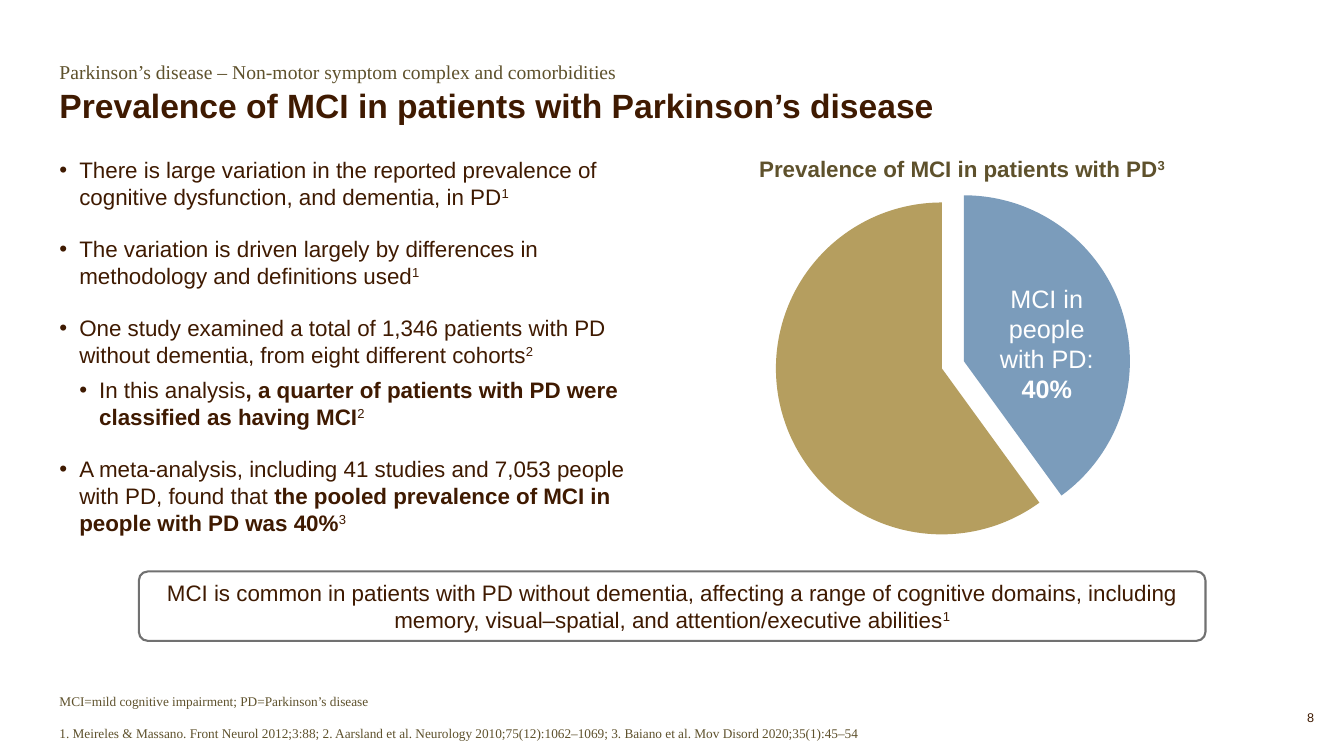
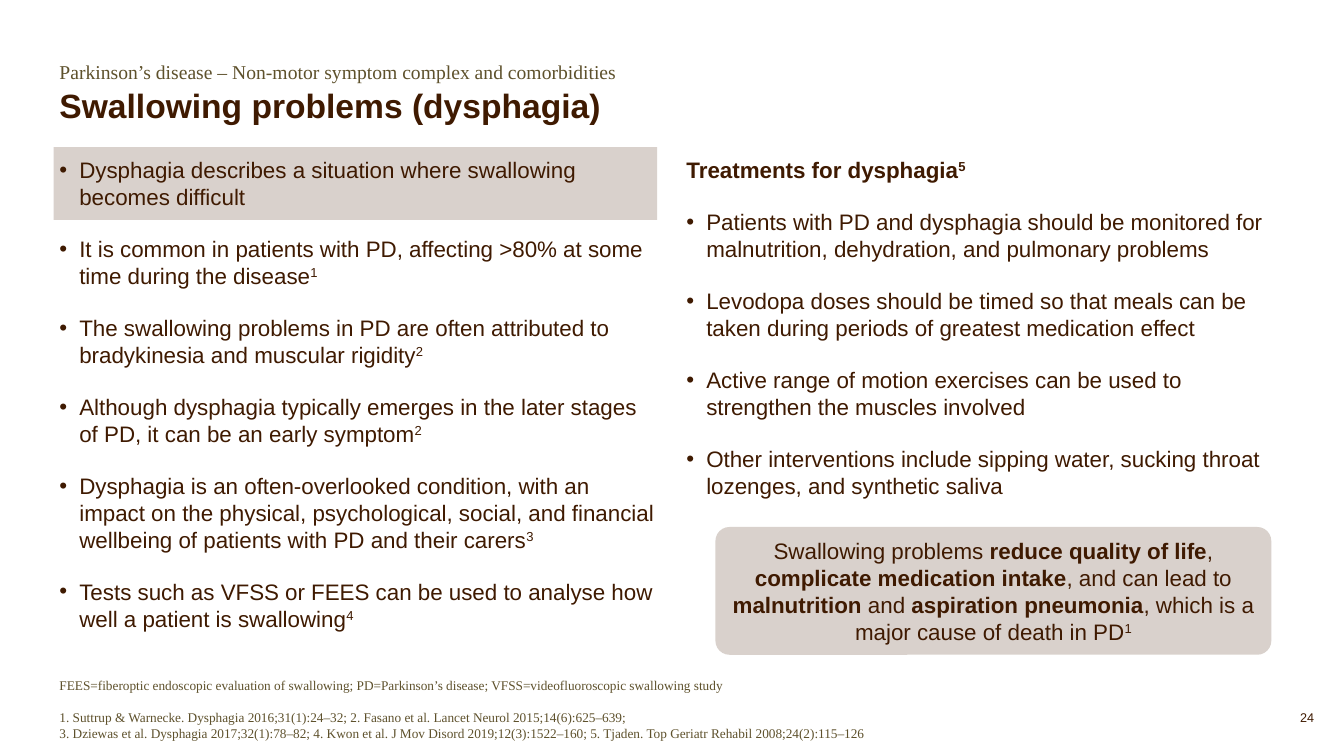
from lxml import etree
from pptx import Presentation, util as u
from pptx.chart.data import CategoryChartData
from pptx.dml.color import RGBColor
from pptx.enum import chart as ch, shapes, text
from pptx.oxml.ns import qn

BROWN = RGBColor(0x3F, 0x1A, 0x01)
OLIVE = RGBColor(0x5E, 0x51, 0x2C)
BLUE = RGBColor(0x7B, 0x9C, 0xBB)
GOLD = RGBColor(0xB5, 0x9E, 0x5F)
TAUPE = RGBColor(0xD9, 0xD1, 0xCC)
GREY = RGBColor(0x71, 0x71, 0x71)
WHITE = RGBColor(0xFF, 0xFF, 0xFF)
SANS, SERIF = "Arial", "Times New Roman"
LEFT, RIGHT, WIDE = 1.5, 17.3, 25.6
SECTION = "Parkinson’s disease – Non-motor symptom complex and comorbidities"


def add_runs(paragraph, line, size, font, color, bold):
    """Write a line in which * toggles bold, ^ toggles superscript and \\n breaks."""
    for i, stretch in enumerate(line.split("*")):
        for j, piece in enumerate(stretch.split("^")):
            for k, words in enumerate(piece.split("\n")):
                if k:
                    paragraph.add_line_break()
                if not words:
                    continue
                run = paragraph.add_run()
                run.text = words
                run.font.size, run.font.name = u.Pt(size), font
                run.font.color.rgb = color
                run.font.bold = bold or i % 2 == 1
                if j % 2:
                    run.font._element.set("baseline", "30000")


def write(frame, lines, size=16, font=SANS, color=BROWN, bold=False, gap=0,
          align=text.PP_ALIGN.LEFT, anchor=text.MSO_ANCHOR.TOP, inset=None, leading=None):
    """Fill a text frame; leading • marks give a paragraph its bullet level."""
    frame.word_wrap = True
    frame.vertical_anchor = anchor
    if inset is not None:
        frame.margin_left = frame.margin_right = u.Cm(inset)
        frame.margin_top = frame.margin_bottom = u.Cm(inset)
    for index, line in enumerate(lines):
        paragraph = frame.paragraphs[0] if index == 0 else frame.add_paragraph()
        words = line.lstrip("•")
        level = len(line) - len(words)
        if level:
            props = paragraph._p.get_or_add_pPr()
            props.set("marL", str(u.Cm(0.5 * level)))
            props.set("indent", str(-u.Cm(0.5)))
            etree.SubElement(props, qn("a:buFont")).set("typeface", SANS)
            etree.SubElement(props, qn("a:buChar")).set("char", "•")
            paragraph.level = level - 1
        paragraph.alignment = align
        if index:
            paragraph.space_before = u.Pt(6 if level == 2 else gap)
        if leading:
            paragraph.line_spacing = leading
        add_runs(paragraph, words.strip() if level else words, size, font, color, bold)


class Deck:
    """Hold the presentation, its shared style and the current slide."""

    def __init__(self):
        """Open a widescreen presentation."""
        self.show = Presentation()
        self.show.slide_width, self.show.slide_height = u.Cm(33.87), u.Cm(19.05)
        self.slide = None

    def page(self, title, number, notes):
        """Start a slide with its section line, title, footnotes and number."""
        self.slide = self.show.slides.add_slide(self.show.slide_layouts[6])
        bottom = text.MSO_ANCHOR.BOTTOM
        self.words(LEFT, 1.5, WIDE, 0.74, [SECTION], size=14, font=SERIF, color=OLIVE)
        self.words(LEFT, 2.26, WIDE, 0.92, [title], size=24, bold=True, anchor=bottom, leading=0.9)
        self.words(LEFT, 16.94, WIDE, 1.73, notes, size=9.5, font=SERIF, color=OLIVE,
                   gap=11.4, anchor=bottom)
        self.words(31.47, 17.88, 1.65, 0.43, [str(number)], size=9, align=text.PP_ALIGN.RIGHT)

    def words(self, x, y, w, h, lines, inset=0, **style):
        """Add a text box."""
        box = self.slide.shapes.add_textbox(u.Cm(x), u.Cm(y), u.Cm(w), u.Cm(h))
        write(box.text_frame, lines, inset=inset, **style)

    def column(self, x, lines):
        """Add one of the two body columns."""
        self.words(x, 3.94, 15.06, 12.27, lines, gap=18)

    def panel(self, x, y, w, h, fill, line=None, radius=None, lines=()):
        """Add a filled panel, rounded when a radius is given, with centred text."""
        kind = shapes.MSO_SHAPE.RECTANGLE if radius is None else shapes.MSO_SHAPE.ROUNDED_RECTANGLE
        panel = self.slide.shapes.add_shape(kind, u.Cm(x), u.Cm(y), u.Cm(w), u.Cm(h))
        panel.shadow.inherit = False
        panel.fill.solid()
        panel.fill.fore_color.rgb = fill
        if radius is not None:
            panel.adjustments[0] = radius
        if line is None:
            panel.line.fill.background()
        else:
            panel.line.color.rgb, panel.line.width = line, u.Pt(1.5)
        write(panel.text_frame, lines, align=text.PP_ALIGN.CENTER, anchor=text.MSO_ANCHOR.MIDDLE)

    def pie(self, x, y, w, h, values, colors, explosion):
        """Add an exploded pie chart without labels."""
        data = CategoryChartData()
        data.categories = [str(n + 1) for n in range(len(values))]
        data.add_series("Series 1", values)
        chart = self.slide.shapes.add_chart(
            ch.XL_CHART_TYPE.PIE, u.Cm(x), u.Cm(y), u.Cm(w), u.Cm(h), data).chart
        chart.has_legend = chart.has_title = False
        chart.font.size, chart.font.name = u.Pt(10), SANS
        chart.font.color.rgb = BROWN
        plot = chart.plots[0]
        plot.vary_by_categories = True
        series = plot.series[0]
        for index, color in enumerate(colors):
            wedge = series.points[index].format
            wedge.fill.solid()
            wedge.fill.fore_color.rgb = color
            wedge.line.fill.background()
        offset = etree.Element(qn("c:explosion"), val=str(explosion))
        series._element.find(qn("c:dPt")).addprevious(offset)


def prevalence(deck):
    """Build the slide on how common MCI is."""
    deck.page("Prevalence of MCI in patients with Parkinson’s disease", 8, [
        "MCI=mild cognitive impairment; PD=Parkinson’s disease",
        "1. Meireles & Massano. Front Neurol 2012;3:88; 2. Aarsland et al. Neurology "
        "2010;75(12):1062–1069; 3. Baiano et al. Mov Disord 2020;35(1):45–54"])
    deck.pie(RIGHT, 4.37, 13.43, 9.65, (40, 60), (BLUE, GOLD), 7)
    deck.column(LEFT, [
        "• There is large variation in the reported prevalence of cognitive dysfunction, "
        "and dementia, in PD^1^",
        "• The variation is driven largely by differences in methodology and definitions used^1^",
        "• One study examined a total of 1,346 patients with PD without dementia, "
        "from eight different cohorts^2^",
        "•• In this analysis*, a quarter of patients with PD were classified as having MCI*^2^",
        "• A meta-analysis, including 41 studies and 7,053 people with PD, found that "
        "*the pooled prevalence of MCI in people with PD was 40%*^3^"])
    deck.panel(3.5, 14.4, 26.88, 1.75, WHITE, line=GREY, radius=0.13, lines=[
        "MCI is common in patients with PD without dementia, affecting a range of cognitive "
        "domains, including memory, visual–spatial, and attention/executive abilities^1^"])
    centre = text.PP_ALIGN.CENTER
    deck.words(24.59, 6.93, 3.58, 3.33, ["MCI in people with PD:", "*40%*"], inset=0.2,
               size=18, color=WHITE, align=centre)
    deck.words(16.93, 3.91, 14.63, 0.7, ["Prevalence of MCI in patients with PD^3^"],
               color=OLIVE, bold=True, align=centre)


def dysphagia(deck):
    """Build the slide on swallowing problems."""
    deck.page("Swallowing problems (dysphagia)", 24, [
        "FEES=fiberoptic endoscopic evaluation of swallowing; PD=Parkinson’s disease; "
        "VFSS=videofluoroscopic swallowing study",
        "1. Suttrup & Warnecke. Dysphagia 2016;31(1):24–32; 2. Fasano et al. Lancet Neurol "
        "2015;14(6):625–639;\n3. Dziewas et al. Dysphagia 2017;32(1):78–82; 4. Kwon et al. "
        "J Mov Disord 2019;12(3):1522–160; 5. Tjaden. Top Geriatr Rehabil 2008;24(2):115–126"])
    deck.panel(1.35, 3.71, 15.21, 1.83, TAUPE)
    deck.column(LEFT, [
        "• Dysphagia describes a situation where swallowing becomes difficult",
        "• It is common in patients with PD, affecting >80% at some time during the disease^1^",
        "• The swallowing problems in PD are often attributed to bradykinesia "
        "and muscular rigidity^2^",
        "• Although dysphagia typically emerges in the later stages of PD, "
        "it can be an early symptom^2^",
        "• Dysphagia is an often-overlooked condition, with an impact on the physical, "
        "psychological, social, and financial wellbeing of patients with PD and their carers^3^",
        "• Tests such as VFSS or FEES can be used to analyse how well a patient is swallowing^4^"])
    deck.column(RIGHT, [
        "*Treatments for dysphagia^5^*",
        "• Patients with PD and dysphagia should be monitored for malnutrition, "
        "dehydration, and pulmonary problems",
        "• Levodopa doses should be timed so that meals can be taken during periods "
        "of greatest medication effect",
        "• Active range of motion exercises can be used to strengthen the muscles involved",
        "• Other interventions include sipping water, sucking throat lozenges, "
        "and synthetic saliva"])
    deck.panel(18.03, 13.28, 14.01, 3.22, TAUPE, radius=0.11, lines=[
        "Swallowing problems *reduce quality of life*,\n*complicate medication intake*, "
        "and can lead to *malnutrition* and *aspiration pneumonia*, "
        "which is a major cause of death in PD^1^"])


def main():
    """Build and save the deck."""
    deck = Deck()
    prevalence(deck)
    dysphagia(deck)
    deck.show.save("out.pptx")


if __name__ == "__main__":
    main()
